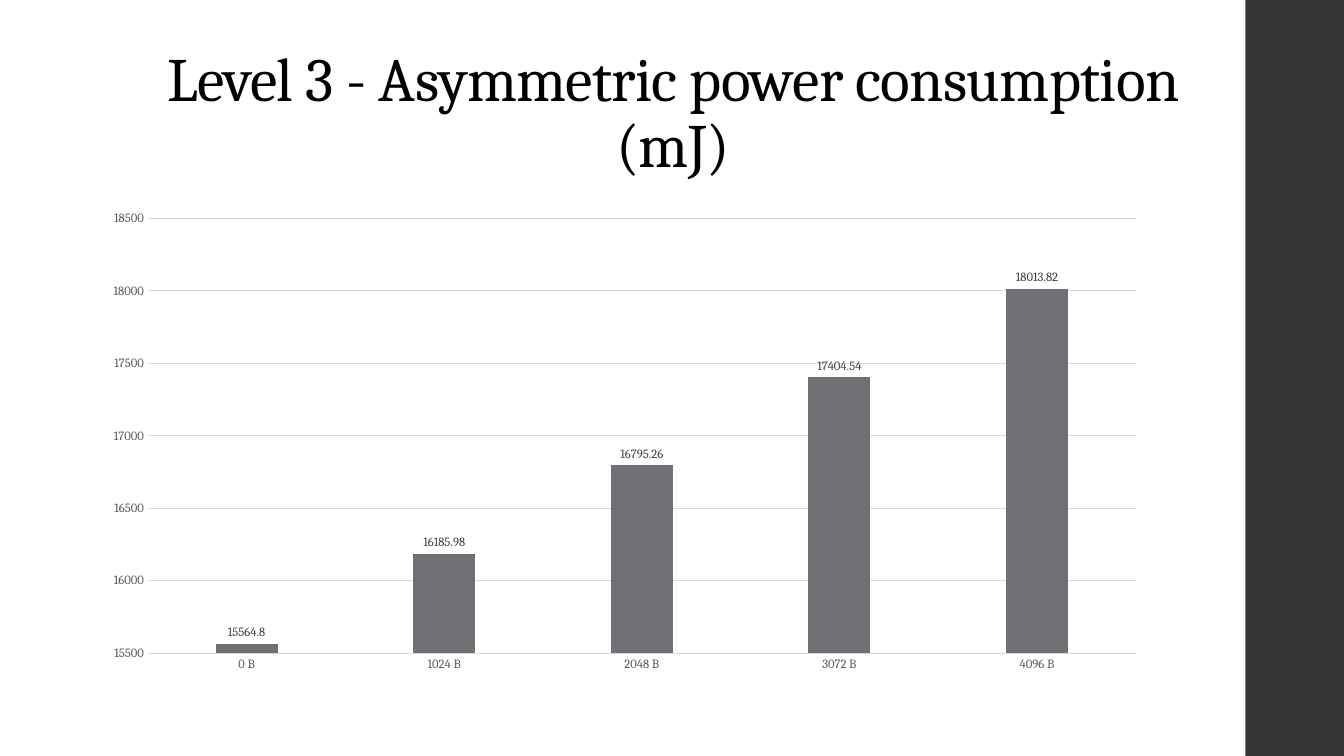
from pptx import Presentation
from pptx.chart.data import CategoryChartData
from pptx.dml.color import RGBColor
from pptx.enum.chart import XL_CHART_TYPE, XL_LABEL_POSITION, XL_TICK_MARK
from pptx.enum.shapes import MSO_SHAPE
from pptx.enum.text import MSO_ANCHOR, PP_ALIGN
from pptx.util import Emu, Pt

PX = 9525  # EMU in one px, 96 px to the inch
WIDTH, HEIGHT = 1280, 720


def color(hex_value):
    return RGBColor.from_string(hex_value)


def apply(target, values):
    for name, value in values.items():
        setattr(target, name, value)


class SlideBuilder:
    font_name = "Cambria"
    sidebar_color = "353537"
    bar_color = "6F6F74"
    grid_color = "D9D9D9"
    axis_color = "595959"
    label_color = "404040"

    def __init__(self, presentation):
        self.slide = presentation.slides.add_slide(presentation.slide_layouts[6])

    def box(self, *lengths):
        return [Emu(length * PX) for length in lengths]

    def style_font(self, font, size, hex_value):
        apply(font, {"name": self.font_name, "size": Pt(size)})
        font.color.rgb = color(hex_value)

    def style_line(self, line):
        line.color.rgb = color(self.grid_color)
        line.width = Pt(0.75)

    def rectangle(self, left, top, width, height, fill):
        shape = self.slide.shapes.add_shape(
            MSO_SHAPE.RECTANGLE, *self.box(left, top, width, height))
        shape.shadow.inherit = False
        shape.fill.solid()
        shape.fill.fore_color.rgb = color(fill)
        shape.line.fill.background()

    def title(self, text, left, top, width, height):
        shape = self.slide.shapes.add_textbox(*self.box(left, top, width, height))
        apply(shape.text_frame, {"word_wrap": True,
                                 "vertical_anchor": MSO_ANCHOR.BOTTOM})
        paragraph = shape.text_frame.paragraphs[0]
        apply(paragraph, {"alignment": PP_ALIGN.CENTER, "line_spacing": 0.9})
        run = paragraph.add_run()
        run.text = text
        self.style_font(run.font, 44, "000000")
        run._r.get_or_add_rPr().set("spc", "-50")  # letter spacing, 1/100 pt

    def column_chart(self, categories, values, left, top, width, height):
        data = CategoryChartData()
        data.categories = categories
        data.add_series("Series 1", values)
        chart = self.slide.shapes.add_chart(
            XL_CHART_TYPE.COLUMN_CLUSTERED,
            *self.box(left, top, width, height), data).chart
        apply(chart, {"has_legend": False, "has_title": False})
        self.style_font(chart.font, 10, "000000")

        # Axes
        for axis in (chart.category_axis, chart.value_axis):
            apply(axis, {"major_tick_mark": XL_TICK_MARK.NONE,
                         "minor_tick_mark": XL_TICK_MARK.NONE})
            self.style_font(axis.tick_labels.font, 9, self.axis_color)
        self.style_line(chart.category_axis.format.line)
        apply(chart.value_axis, {"minimum_scale": 15500, "maximum_scale": 18500,
                                 "major_unit": 500, "has_major_gridlines": True})
        self.style_line(chart.value_axis.major_gridlines.format.line)
        chart.value_axis.format.line.fill.background()

        # Columns and their values
        plot = chart.plots[0]
        apply(plot, {"gap_width": 219, "overlap": -27,
                     "vary_by_categories": False, "has_data_labels": True})
        bar_format = plot.series[0].format
        bar_format.fill.solid()
        bar_format.fill.fore_color.rgb = color(self.bar_color)
        bar_format.line.fill.background()
        apply(plot.data_labels, {"show_value": True,
                                 "position": XL_LABEL_POSITION.OUTSIDE_END})
        self.style_font(plot.data_labels.font, 9, self.label_color)


def main():
    presentation = Presentation()
    apply(presentation, {"slide_width": Emu(WIDTH * PX),
                         "slide_height": Emu(HEIGHT * PX)})
    builder = SlideBuilder(presentation)

    # Side band
    builder.rectangle(1186, 0, 96, HEIGHT, builder.sidebar_color)

    # Title
    builder.title("Level 3 - Asymmetric power consumption (mJ)", 132, 38, 1018, 139)

    # Power consumption by message size
    sizes = [f"{1024 * step} B" for step in range(5)]
    consumption = [15564.8, 16185.98, 16795.26, 17404.54, 18013.82]
    builder.column_chart(sizes, consumption, 88, 192, 1014, 457)

    presentation.save("out.pptx")


if __name__ == "__main__":
    main()
